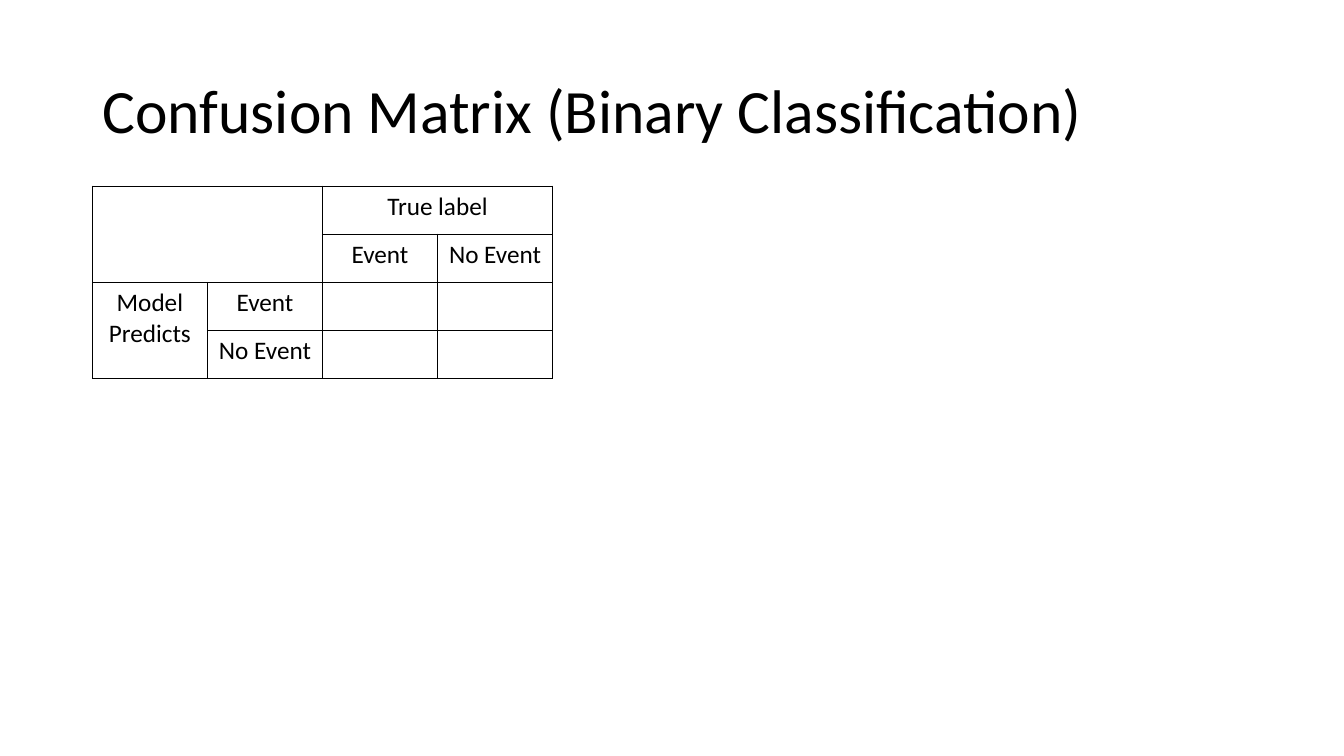
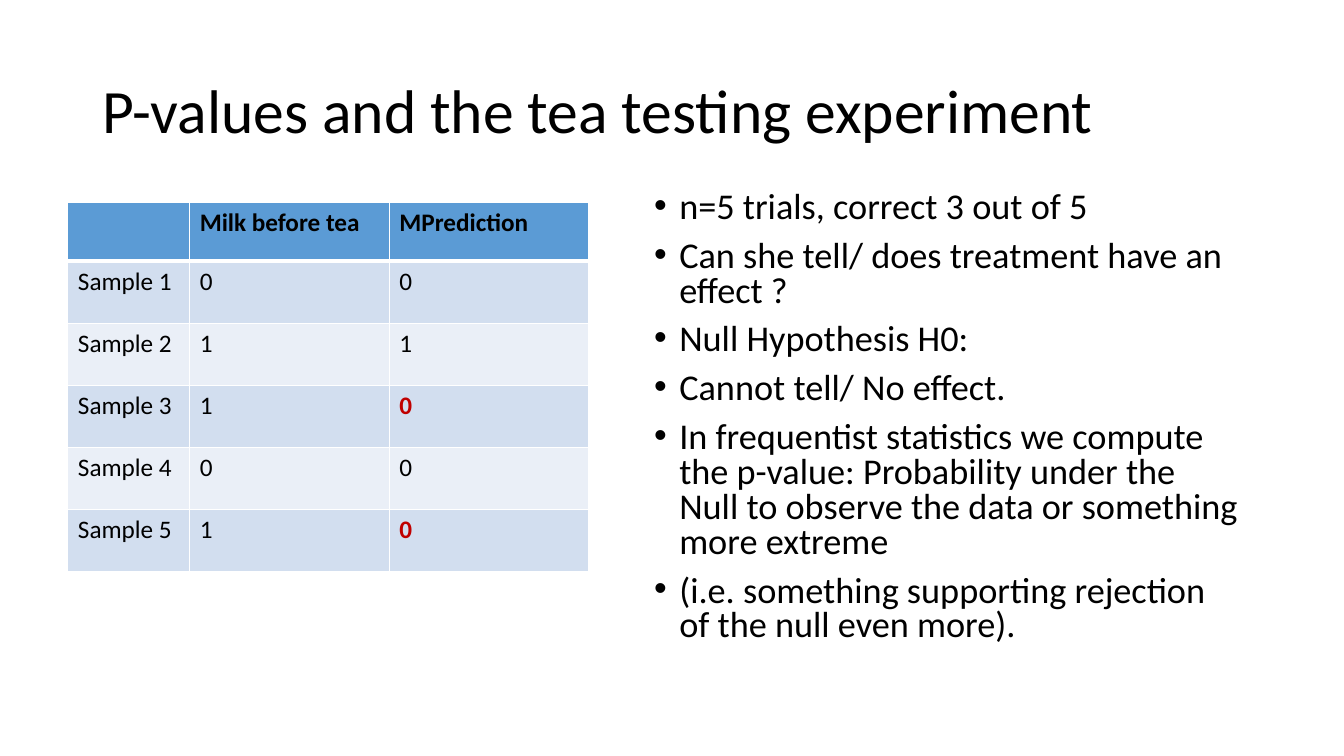
from dataclasses import dataclass

from lxml import etree
from pptx import Presentation
from pptx.enum.text import MSO_ANCHOR, MSO_AUTO_SIZE, PP_ALIGN
from pptx.oxml.ns import qn
from pptx.util import Pt

LEFT, CENTER = PP_ALIGN.LEFT, PP_ALIGN.CENTER
TOP, MIDDLE = MSO_ANCHOR.TOP, MSO_ANCHOR.MIDDLE
NO_AUTOFIT = MSO_AUTO_SIZE.NONE

FONT = "Calibri"
COLORS = {
    "text": "000000",
    "wrong": "C00000",
    "line": "000000",
    "white": "FFFFFF",
    "header": "5B9BD5",
    "odd_row": "D2DEEF",
    "even_row": "EAEFF7",
}
TITLE_ONLY, TITLE_AND_BODY = 5, 1  # layout numbers in the default template
BULLET_INDENT = 18


@dataclass(frozen=True)
class Box:
    left: float
    top: float
    width: float
    height: float


@dataclass(frozen=True)
class Cell:
    text: str = ""
    fill: str | None = None
    color: str = "text"
    bold: bool = False
    rows: int = 1
    columns: int = 1


TITLE_BOX = Box(66, 28.75, 828, 104.38)
BODY_BOX = Box(460, 133.2, 434, 342.7)


# Text
def write_text(paragraph, text: str, *, size: float = 18, color: str = "text",
               bold: bool = False, align=LEFT, line_spacing: float = 1.0,
               space_before: float = 0, bullet: bool = False) -> None:
    paragraph.alignment = align
    paragraph.line_spacing = line_spacing
    paragraph.space_before = Pt(space_before)
    if bullet:
        properties = paragraph._p.get_or_add_pPr()
        properties.set("marL", str(Pt(BULLET_INDENT)))
        properties.set("indent", str(-Pt(BULLET_INDENT)))
        etree.SubElement(properties, qn("a:buFont"), typeface="Arial")
        etree.SubElement(properties, qn("a:buChar"), char="•")
    run = paragraph.add_run()
    run.text = text
    run.font.name = FONT
    run.font.size = Pt(size)
    run.font.bold = bold
    run.font.color.rgb = rgb(color)


def rgb(name: str):
    return RGBColor.from_string(COLORS[name])


def place(shape, box: Box, anchor) -> None:
    shape.left, shape.top = Pt(box.left), Pt(box.top)
    shape.width, shape.height = Pt(box.width), Pt(box.height)
    shape.text_frame.word_wrap = True
    shape.text_frame.auto_size = NO_AUTOFIT
    shape.text_frame.vertical_anchor = anchor


def add_titled_slide(presentation, layout: int, title: str):
    slide = presentation.slides.add_slide(presentation.slide_layouts[layout])
    place(slide.shapes.title, TITLE_BOX, MIDDLE)
    write_text(slide.shapes.title.text_frame.paragraphs[0], title,
               size=44, line_spacing=0.9)
    return slide


def fill_body(slide, items: list[str]) -> None:
    body = slide.placeholders[1]
    place(body, BODY_BOX, TOP)
    for index, item in enumerate(items):
        frame = body.text_frame
        paragraph = frame.add_paragraph() if index else frame.paragraphs[0]
        write_text(paragraph, item, size=25.9, line_spacing=0.8,
                   space_before=10, bullet=True)


# Tables
def set_borders(cell, color: str, top: float, bottom: float) -> None:
    properties = cell._tc.get_or_add_tcPr()
    widths = {"a:lnL": 1, "a:lnR": 1, "a:lnT": top, "a:lnB": bottom}
    for index, (tag, width) in enumerate(widths.items()):
        line = etree.Element(qn(tag), w=str(Pt(width)))
        fill = etree.SubElement(line, qn("a:solidFill"))
        etree.SubElement(fill, qn("a:srgbClr"), val=COLORS[color])
        properties.insert(index, line)


def add_grid(slide, left: float, top: float, widths: list[float],
             heights: list[float], cells: dict[tuple[int, int], Cell], *,
             line_color: str, header_line: float = 1, align=LEFT) -> None:
    table = slide.shapes.add_table(
        len(heights), len(widths), Pt(left), Pt(top),
        Pt(sum(widths)), Pt(sum(heights))).table
    table.first_row = table.horz_banding = False
    for column, width in zip(table.columns, widths):
        column.width = Pt(width)
    for row, height in zip(table.rows, heights):
        row.height = Pt(height)

    for row in range(len(heights)):
        for column in range(len(widths)):
            cell = table.cell(row, column)
            content = cells.get((row, column), Cell())
            if content.fill:
                cell.fill.solid()
                cell.fill.fore_color.rgb = rgb(content.fill)
            else:
                cell.fill.background()
            set_borders(cell, line_color,
                        top=header_line if row == 1 else 1,
                        bottom=header_line if row == 0 else 1)
            if content.text:
                write_text(cell.text_frame.paragraphs[0], content.text,
                           color=content.color, bold=content.bold, align=align)
            if content.rows * content.columns > 1:
                cell.merge(table.cell(row + content.rows - 1,
                                      column + content.columns - 1))


# Slides
def build_confusion_matrix(presentation) -> None:
    slide = add_titled_slide(presentation, TITLE_ONLY,
                             "Confusion Matrix (Binary Classification)")
    cells = {
        (0, 0): Cell(rows=2, columns=2),
        (0, 2): Cell("True label", columns=2),
        (2, 0): Cell("Model Predicts", rows=2),
    }
    for index, label in enumerate(("Event", "No Event"), start=2):
        cells[1, index] = cells[index, 1] = Cell(label)
    add_grid(slide, 66, 133.1, [82.2] * 4, [34.3] * 4, cells,
             line_color="line", align=CENTER)


def build_tea_experiment(presentation) -> None:
    slide = add_titled_slide(presentation, TITLE_AND_BODY,
                             "P-values and the tea testing experiment")
    fill_body(slide, [
        "n=5 trials, correct 3 out of 5",
        "Can she tell/ does treatment have an effect ?",
        "Null Hypothesis H0:",
        "Cannot tell/ No effect.",
        "In frequentist statistics we compute the p-value: Probability under "
        "the Null to observe the data or something more extreme",
        "(i.e. something supporting rejection of the null even more).",
    ])

    cells = {(0, column): Cell(text, "header", bold=True) for column, text
             in enumerate(("", "Milk before tea", "MPrediction"))}
    trials = [(0, 0), (1, 1), (1, 0), (0, 0), (1, 0)]
    for row, (truth, prediction) in enumerate(trials, start=1):
        fill = "odd_row" if row % 2 else "even_row"
        wrong = truth != prediction
        cells[row, 0] = Cell(f"Sample {row}", fill)
        cells[row, 1] = Cell(str(truth), fill)
        cells[row, 2] = Cell(str(prediction), fill,
                             "wrong" if wrong else "text", wrong)
    add_grid(slide, 48.5, 144.8, [87, 142.6, 142.6], [41.8] + [44.3] * 5,
             cells, line_color="white", header_line=3)


def main() -> None:
    presentation = Presentation()
    presentation.slide_width, presentation.slide_height = Pt(960), Pt(540)
    build_confusion_matrix(presentation)
    build_tea_experiment(presentation)
    presentation.save("out.pptx")


from pptx.dml.color import RGBColor

if __name__ == "__main__":
    main()
